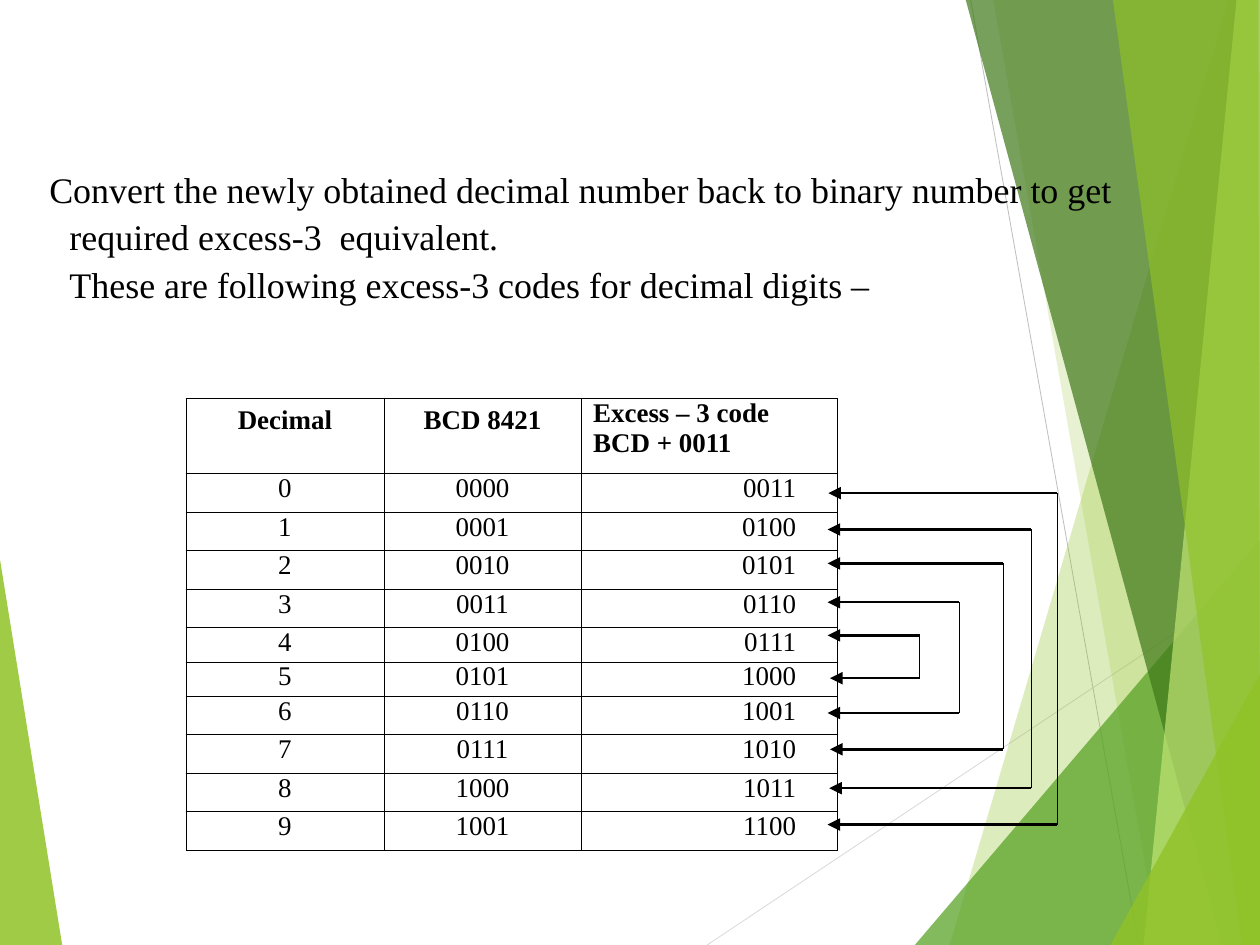
"""Builds the slide on excess-3 codes for decimal digits."""
from dataclasses import dataclass

from lxml import etree
from pptx import Presentation
from pptx.dml.color import RGBColor
from pptx.enum.shapes import MSO_CONNECTOR
from pptx.enum.text import MSO_ANCHOR, MSO_AUTO_SIZE, PP_ALIGN
from pptx.oxml.ns import qn
from pptx.util import Emu, Pt

STRAIGHT = MSO_CONNECTOR.STRAIGHT
TOP = MSO_ANCHOR.TOP
NO_AUTOFIT = MSO_AUTO_SIZE.NONE
LEFT, CENTER, RIGHT = PP_ALIGN.LEFT, PP_ALIGN.CENTER, PP_ALIGN.RIGHT

EMU_PER_PX = 9144
WIDTH, HEIGHT = 1559, 1169
FONT = "Times New Roman"
BLACK = "000000"
LIME = "90C226"
TITLE_ONLY = 5


@dataclass
class Facet:
    """A translucent polygon of the background."""

    points: list[tuple[int, int]]
    color: str
    opacity: int


@dataclass
class Bracket:
    """A link between the rows of a digit and its nine's complement."""

    x: int
    top: int
    bottom: int
    top_tip: int
    bottom_tip: int


@dataclass
class Column:
    """A table column with its heading and the layout of its digits."""

    heading: str
    width: int
    heading_align: PP_ALIGN
    heading_left: int
    heading_top: int
    align: PP_ALIGN
    right: int


LEFT_FACET = Facet([(0, 692), (77, HEIGHT), (0, HEIGHT)], LIME, 85)
RIGHT_FACETS = [
    Facet([(1520, 0), (1175, HEIGHT), (WIDTH, HEIGHT), (WIDTH, 0)], LIME, 30),
    Facet([(1229, 0), (1434, HEIGHT), (WIDTH, HEIGHT), (WIDTH, 0)], LIME, 20),
    Facet([(1132, HEIGHT), (WIDTH, 668), (WIDTH, HEIGHT)], "54A021", 72),
    Facet([(1195, 0), (1512, HEIGHT), (WIDTH, HEIGHT), (WIDTH, 0)], "3F7819", 70),
    Facet([(1530, 0), (1415, HEIGHT), (WIDTH, HEIGHT), (WIDTH, 0)], "C0E474", 70),
    Facet([(1377, 0), (1537, HEIGHT), (WIDTH, HEIGHT), (1557, 0)], LIME, 65),
    Facet([(1374, HEIGHT), (WIDTH, 834), (WIDTH, HEIGHT)], LIME, 80),
]
BRACKETS = [
    Bracket(1308, 610, 1020, 1025, 1024),
    Bracket(1276, 655, 975, 1024, 1026),
    Bracket(1241, 697, 927, 1024, 1027),
    Bracket(1187, 745, 882, 1024, 1024),
    Bracket(1138, 786, 839, 1024, 1027),
]
COLUMNS = [
    Column("Decimal", 245, CENTER, 0, 9, CENTER, 0),
    Column("BCD 8421", 244, CENTER, 0, 9, CENTER, 0),
    Column("Excess – 3 code\nBCD + 0011", 317, LEFT, 15, 0, RIGHT, 51),
]
ROW_HEIGHTS = [93, 48, 47, 48, 47, 43, 43, 47, 48, 47, 48]
TITLE_LINES = [
    "Convert the newly obtained decimal number back to binary number to get "
    "required excess-3  equivalent.",
    "These are following excess-3 codes for decimal digits –",
]


def px(length: int) -> Emu:
    """Turn px into EMU."""
    return Emu(length * EMU_PER_PX)


def rgb(color: str) -> RGBColor:
    """Turn a hex string into a colour."""
    return RGBColor.from_string(color)


def format_font(para, size: int, bold: bool = False) -> None:
    """Set the black serif font of a paragraph."""
    para.font.name = FONT
    para.font.size = Pt(size)
    para.font.bold = bold
    para.font.color.rgb = rgb(BLACK)


def draw_facet(page, facet: Facet) -> None:
    """Draw one background polygon."""
    builder = page.shapes.build_freeform(*facet.points[0], scale=EMU_PER_PX)
    builder.add_line_segments(facet.points[1:], close=True)
    shape = builder.convert_to_shape()
    shape.shadow.inherit = False
    shape.line.fill.background()
    shape.fill.solid()
    shape.fill.fore_color.rgb = rgb(facet.color)
    color = shape.element.spPr.find(qn("a:solidFill"))[0]
    etree.SubElement(color, qn("a:alpha"), val=str(facet.opacity * 1000))


def draw_line(page, start: tuple[int, int], end: tuple[int, int], color: str,
              weight: float = 0.75, arrow: bool = False) -> None:
    """Draw a straight line, with an arrowhead at its end if asked."""
    line = page.shapes.add_connector(STRAIGHT, *map(px, start + end))
    line.line.color.rgb = rgb(color)
    line.line.width = Pt(weight)
    properties = line.element.spPr
    if arrow:
        etree.SubElement(properties.find(qn("a:ln")), qn("a:tailEnd"),
                         type="triangle", w="lg", len="lg")
    etree.SubElement(properties, qn("a:effectLst"))


def draw_bracket(page, bracket: Bracket) -> None:
    """Draw an upright line with an arrow to the table from each end."""
    draw_line(page, (bracket.x, bracket.top), (bracket.x, bracket.bottom), BLACK)
    for y, tip in ((bracket.top, bracket.top_tip), (bracket.bottom, bracket.bottom_tip)):
        draw_line(page, (bracket.x, y), (tip, y), BLACK, 2.25, arrow=True)


def format_title(title) -> None:
    """Place the title and fill in its lines."""
    title.left, title.top, title.width, title.height = map(px, (50, 197, 1458, 225))
    frame = title.text_frame
    frame.word_wrap = True
    frame.auto_size = NO_AUTOFIT
    frame.vertical_anchor = TOP
    para = frame.paragraphs[0]
    para.text = "\v".join(TITLE_LINES)
    para.alignment = LEFT
    para.line_spacing = 1.1
    para.space_before = Pt(1)
    format_font(para, 32)
    indents = para._p.get_or_add_pPr()
    indents.set("marL", str(px(26)))
    indents.set("indent", str(px(-25)))


def fill_cell(cell, text: str, align: PP_ALIGN, left: int = 0, top: int = 0,
              right: int = 0, bold: bool = False) -> None:
    """Write a cell and give it thin black borders and no fill."""
    cell.text = text
    cell.vertical_anchor = TOP
    cell.margin_left, cell.margin_top = px(left), px(top)
    cell.margin_right, cell.margin_bottom = px(right), px(0)
    for para in cell.text_frame.paragraphs:
        para.alignment = align
        format_font(para, 24, bold)
    properties = cell._tc.get_or_add_tcPr()
    for side in ("lnL", "lnR", "lnT", "lnB"):
        border = etree.SubElement(properties, qn(f"a:{side}"), w=str(Pt(0.5)))
        fill = etree.SubElement(border, qn("a:solidFill"))
        etree.SubElement(fill, qn("a:srgbClr"), val=BLACK)
    cell.fill.background()


def draw_code_table(page) -> None:
    """Draw the table of digits with their BCD and excess-3 codes."""
    width = sum(column.width for column in COLUMNS)
    frame = page.shapes.add_table(len(ROW_HEIGHTS), len(COLUMNS), px(230), px(493),
                                  px(width), px(sum(ROW_HEIGHTS)))
    table = frame.table
    table.first_row = table.horz_banding = False
    for row, height in zip(table.rows, ROW_HEIGHTS):
        row.height = px(height)
    for index, column in enumerate(COLUMNS):
        table.columns[index].width = px(column.width)
        fill_cell(table.cell(0, index), column.heading, column.heading_align,
                  column.heading_left, column.heading_top, bold=True)
    for digit in range(10):
        codes = (str(digit), f"{digit:04b}", f"{digit + 3:04b}")
        for index, (column, code) in enumerate(zip(COLUMNS, codes)):
            fill_cell(table.cell(digit + 1, index), code, column.align, right=column.right)


def main() -> None:
    """Build and save the deck."""
    deck = Presentation()
    deck.slide_width, deck.slide_height = px(WIDTH), px(HEIGHT)
    page = deck.slides.add_slide(deck.slide_layouts[TITLE_ONLY])
    draw_facet(page, LEFT_FACET)
    draw_line(page, (875, HEIGHT), (WIDTH, 713), "D9D9D9")
    draw_line(page, (1201, 0), (1409, HEIGHT), "BFBFBF")
    for facet in RIGHT_FACETS:
        draw_facet(page, facet)
    title = page.shapes.title
    page.shapes.element.append(title.element)
    format_title(title)
    draw_code_table(page)
    for bracket in BRACKETS:
        draw_bracket(page, bracket)
    deck.save("out.pptx")


if __name__ == "__main__":
    main()
